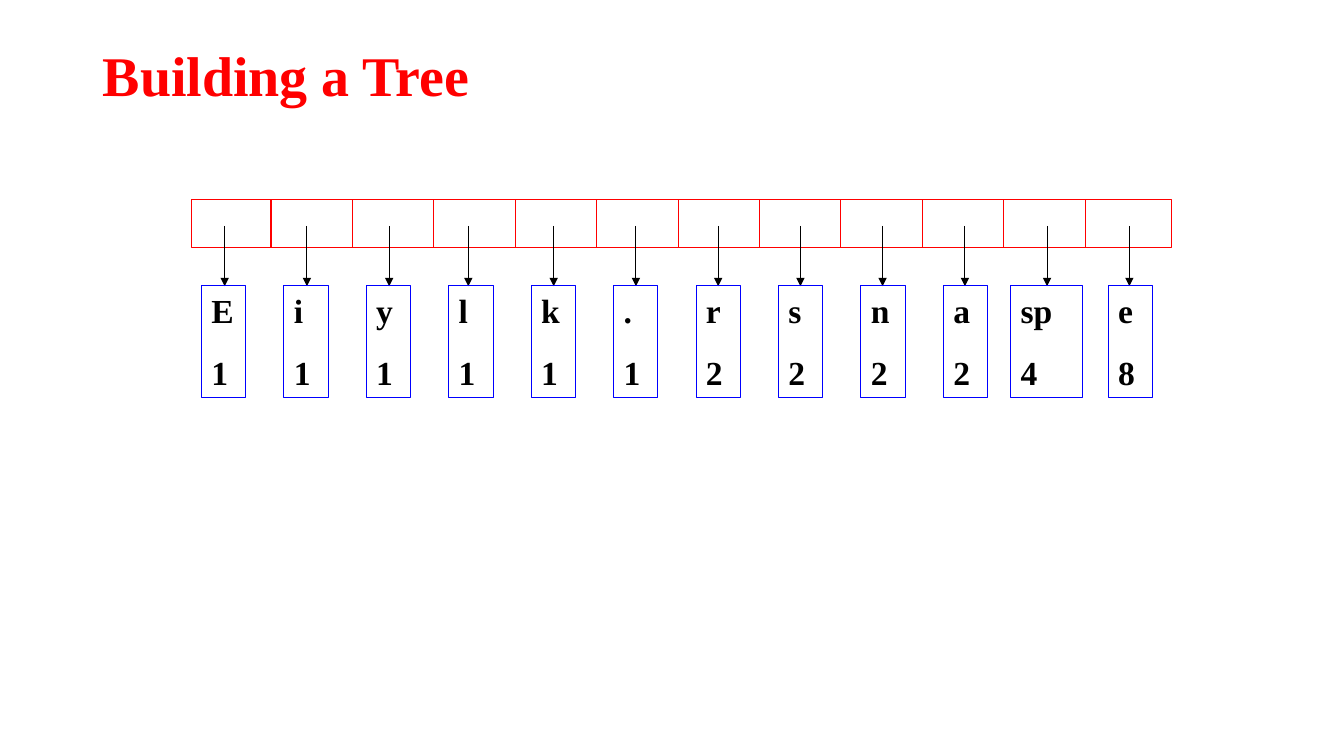
"""Build the slide 'Building a Tree': a queue of twelve leaf nodes."""
from pptx import Presentation
from pptx.dml.color import RGBColor
from pptx.enum.shapes import MSO_CONNECTOR, MSO_SHAPE
from pptx.enum.text import MSO_ANCHOR, PP_ALIGN
from pptx.oxml.ns import qn
from pptx.util import Inches, Pt
from lxml.etree import SubElement

RED = RGBColor(0xFF, 0, 0)
BLUE = RGBColor(0, 0, 0xFF)
BLACK = RGBColor(0, 0, 0)
WHITE = RGBColor(0xFF, 0xFF, 0xFF)
FONT = "Times New Roman"
NODES = [("E", 1), ("i", 1), ("y", 1), ("l", 1), ("k", 1), (".", 1),
         ("r", 2), ("s", 2), ("n", 2), ("a", 2), ("sp", 4), ("e", 8)]


def add_box(left, top, width, height, color):
    box = slide.shapes.add_shape(MSO_SHAPE.RECTANGLE, Inches(left), Inches(top),
                                 Inches(width), Inches(height))
    box.shadow.inherit = False
    box.line.color.rgb = color
    box.line.width = Pt(0.75)
    return box


def add_line(x, top, end, color):
    line = slide.shapes.add_connector(MSO_CONNECTOR.STRAIGHT, Inches(x), Inches(top),
                                      Inches(x), Inches(end))
    line.line.color.rgb = color
    line.line.width = Pt(0.75)
    SubElement(line.element.spPr, qn("a:effectLst"))
    return line


deck = Presentation()
deck.slide_width, deck.slide_height = Inches(13.34), Inches(7.5)
slide = deck.slides.add_slide(deck.slide_layouts[5])

title = slide.shapes.title
title.left, title.top = Inches(0.92), Inches(0.4)
title.width, title.height = Inches(11.5), Inches(0.75)
title.text_frame.text = "Building a Tree"
title.text_frame.vertical_anchor = MSO_ANCHOR.MIDDLE
head = title.text_frame.paragraphs[0]
head.alignment = PP_ALIGN.LEFT
head.line_spacing = 0.9
head.font.name, head.font.size, head.font.bold = FONT, Pt(40), True
head.font.color.rgb = RED

queue = add_box(1.9, 1.98, 9.73, 0.48, RED)
queue.fill.solid()
queue.fill.fore_color.rgb = WHITE
for i in range(len(NODES) - 1):
    add_line(2.69 + 0.808 * i, 1.98, 2.46, RED)

step = 9 / 11
for i, (sign, count) in enumerate(NODES):
    nudge = -0.03 if sign == "l" else 0
    arrow = add_line(2.23 + 8.98 / 11 * i + nudge, 2.24, 2.84, BLACK)
    SubElement(arrow.line._get_or_add_ln(), qn("a:tailEnd"), type="triangle")

    shift, width = (-0.15, 0.71) if sign == "sp" else (0, 0.44)
    node = add_box(2 + step * i + shift, 2.83, width, 1.11, BLUE)
    node.fill.background()
    frame = node.text_frame
    frame.vertical_anchor = MSO_ANCHOR.TOP
    frame.text = f"{sign}\n{count}"
    frame.paragraphs[1].space_before = Pt(15)
    for para in frame.paragraphs:
        para.alignment = PP_ALIGN.LEFT
        para.font.name, para.font.size, para.font.bold = FONT, Pt(24), True
        para.font.color.rgb = BLACK

deck.save("out.pptx")
